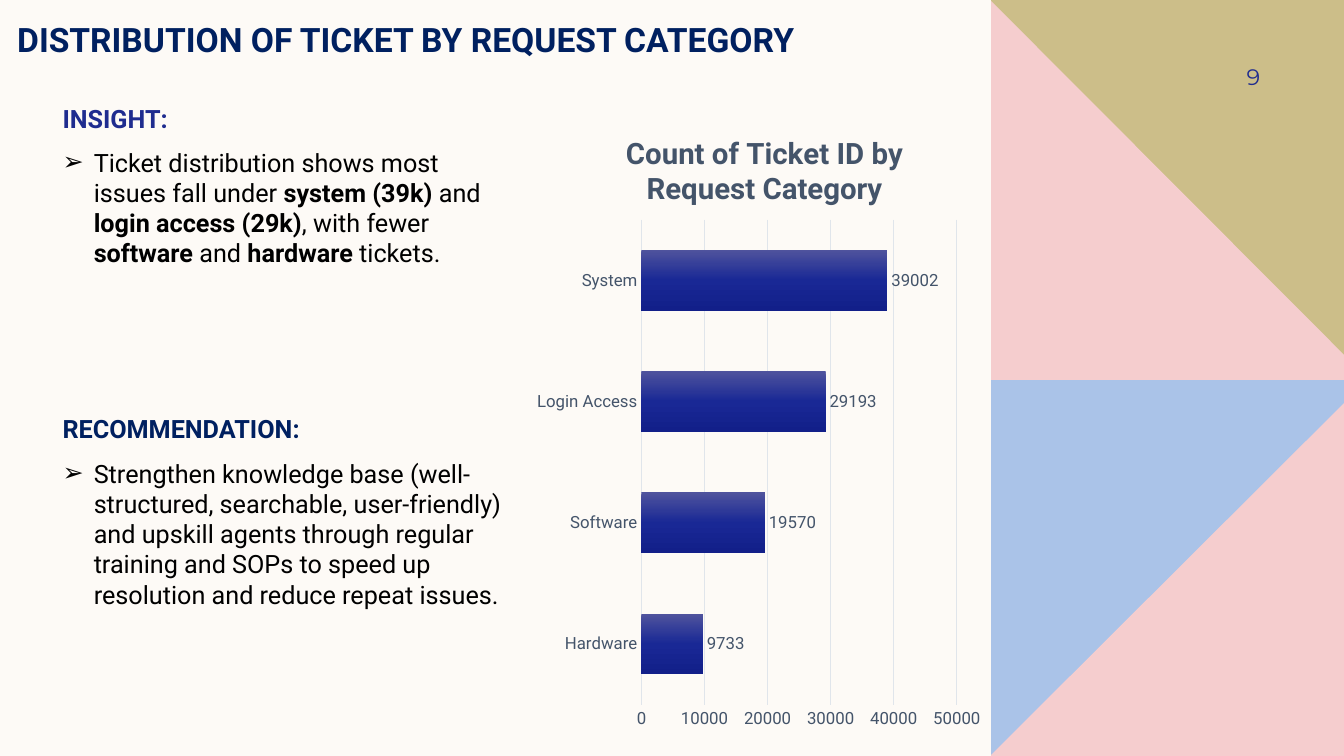
from copy import deepcopy

from lxml.etree import SubElement
from pptx import Presentation
from pptx.chart.data import CategoryChartData
from pptx.dml.color import RGBColor
from pptx.enum.chart import XL_CHART_TYPE as ChartType, XL_LABEL_POSITION as LabelPosition
from pptx.enum.chart import XL_TICK_MARK as TickMark
from pptx.enum.text import MSO_ANCHOR as Anchor, MSO_AUTO_SIZE as AutoSize, PP_ALIGN as Align
from pptx.oxml import parse_xml
from pptx.oxml.ns import nsdecls, qn
from pptx.util import Inches, Pt

NAVY, INDIGO, SLATE, GRID = "002060", "1F2C8F", "44546A", "E0E5EB"
PINK, BLUE, KHAKI = "F5CDCE", "AAC3E8", "CCBE89"
PANEL_LEFT, PANEL_RIGHT, PANEL_BOTTOM = 9.83, 13.33, 7.5
BAR_GRADIENT = ((0, "4F539D"), (0.5, "192895"), (1, "121F89"))
TICKETS = {"Hardware": 9733, "Software": 19570, "Login Access": 29193, "System": 39002}
INSIGHT = ("Ticket distribution shows most issues fall under **system (39k)** and "
           "**login access (29k)**, with fewer **software** and **hardware** tickets.")
RECOMMENDATION = ("Strengthen knowledge base (well-structured, searchable, user‑friendly) and upskill "
                  "agents through regular training and SOPs to speed up resolution and reduce repeat issues.")


def rgb(hex_color):
    """Return the colour for a hex string."""
    return RGBColor.from_string(hex_color)


def style_font(font, size, color, bold=False, name="Roboto"):
    """Set typeface, size, colour and weight of a font."""
    font.name, font.size, font.bold = name, Pt(size), bold
    font.color.rgb = rgb(color)


def place(shape, left, top, width, height):
    """Move and size a shape, in inches."""
    shape.left, shape.top = Inches(left), Inches(top)
    shape.width, shape.height = Inches(width), Inches(height)


def add_polygon(slide, points, color):
    """Draw a filled outline through points given in inches."""
    corners = [(Inches(x), Inches(y)) for x, y in points]
    builder = slide.shapes.build_freeform(*corners[0], scale=1.0)
    builder.add_line_segments(corners[1:], close=True)
    polygon = builder.convert_to_shape()
    polygon.shadow.inherit = False
    polygon.fill.solid()
    polygon.fill.fore_color.rgb = rgb(color)
    polygon.line.fill.background()


def add_panel(slide):
    """Draw the coloured triangles of the right-hand panel."""
    left, right, bottom = PANEL_LEFT, PANEL_RIGHT, PANEL_BOTTOM
    add_polygon(slide, [(left, 3.75), (right, 3.75), (right, bottom), (left, bottom)], BLUE)
    add_polygon(slide, [(right, 4), (right, bottom), (left, bottom), (left, 7.49)], PINK)
    add_polygon(slide, [(left, 0), (right, 0), (right, 3.76), (left, 3.76)], KHAKI)
    add_polygon(slide, [(left, 0.01), (right, 3.52), (right, 3.77), (left, 3.77)], PINK)


def add_title(slide):
    """Fill the title placeholder."""
    title = slide.shapes.title
    place(title, 0.07, 0.14, 9.75, 0.5)
    frame = title.text_frame
    frame.text = "DISTRIBUTION OF TICKET BY REQUEST CATEGORY"
    frame.auto_size, frame.vertical_anchor = AutoSize.NONE, Anchor.TOP
    frame.paragraphs[0].alignment = Align.LEFT
    style_font(frame.paragraphs[0].runs[0].font, 24, NAVY, True)


def set_bullet(paragraph, mark, indent):
    """Give a paragraph a hanging bullet, or none when mark is empty."""
    properties = paragraph._p.get_or_add_pPr()
    properties.set("marL", str(Inches(indent)))
    properties.set("indent", str(-Inches(indent)))
    if mark:
        SubElement(properties, qn("a:buChar")).set("char", mark)
    else:
        SubElement(properties, qn("a:buNone"))


def add_section(frame, heading, color, finding, space_before):
    """Add a heading and its bulleted finding, bold between double asterisks."""
    head = frame.paragraphs[0] if not frame.text else frame.add_paragraph()
    head.text = heading
    head.space_before = Pt(space_before)
    set_bullet(head, "", 0)
    style_font(head.runs[0].font, 18, color, True)
    bullet = frame.add_paragraph()
    bullet.space_before = Pt(10)
    set_bullet(bullet, "➢", 0.31)
    for index, words in enumerate(finding.split("**")):
        run = bullet.add_run()
        run.text = words
        style_font(run.font, 18, "000000", index % 2 == 1)


def add_findings(slide):
    """Fill the body placeholder with insight and recommendation."""
    body = slide.placeholders[1]
    place(body, 0.52, 1.02, 4.71, 6.34)
    frame = body.text_frame
    frame.auto_size = AutoSize.NONE
    frame.margin_top = frame.margin_bottom = 0
    add_section(frame, "INSIGHT:", INDIGO, INSIGHT, 10)
    add_section(frame, "RECOMMENDATION:", NAVY, RECOMMENDATION, 104)


def add_page_number(slide, number):
    """Write the page number on the panel."""
    frame = slide.shapes.add_textbox(Inches(11.42), Inches(0.5), Inches(1.08), Inches(0.52)).text_frame
    frame.text = number
    frame.word_wrap, frame.vertical_anchor = True, Anchor.MIDDLE
    frame.margin_right = 0
    frame.paragraphs[0].alignment = Align.RIGHT
    style_font(frame.paragraphs[0].runs[0].font, 16, INDIGO, name="Montserrat")


def set_layout(element, before, target="", **fractions):
    """Fix a chart part at fractions of the chart area."""
    for old in element.findall(qn("c:layout")):
        element.remove(old)
    modes = '<c:xMode val="edge"/><c:yMode val="edge"/>'
    sizes = "".join(f'<c:{key} val="{value}"/>' for key, value in fractions.items())
    layout = parse_xml(f'<c:layout {nsdecls("c")}><c:manualLayout>{target}{modes}{sizes}'
                       "</c:manualLayout></c:layout>")
    element.find(qn(before)).addprevious(layout)


def style_line(line, color):
    """Make a thin chart line."""
    line.width = Pt(0.75)
    line.color.rgb = rgb(color)


def style_bars(series):
    """Fill the bars with the vertical gradient."""
    fill = series.format.fill
    fill.gradient()
    fill.gradient_angle = 270
    stop_list = series._element.find(".//" + qn("a:gsLst"))
    stop_list.append(deepcopy(stop_list[-1]))
    for stop, (position, color) in zip(fill.gradient_stops, BAR_GRADIENT):
        stop.position = position
        stop.color.rgb = rgb(color)


def add_ticket_chart(slide):
    """Add the bar chart of tickets by category."""
    data = CategoryChartData()
    data.categories = list(TICKETS)
    data.add_series("Series 1", list(TICKETS.values()))
    chart = slide.shapes.add_chart(ChartType.BAR_CLUSTERED, Inches(5.24), Inches(1.02),
                                   Inches(4.58), Inches(6.34), data).chart
    style_font(chart.font, 10, "000000")
    chart.has_legend = False
    heading = chart.chart_title.text_frame
    heading.text = "Count of Ticket ID by Request Category"
    style_font(heading.paragraphs[0].runs[0].font, 21, SLATE, True)
    chart.chart_title.include_in_layout = False
    set_layout(chart.chart_title._element, "c:overlay", x=0.2, y=0.04)
    plot = chart.plots[0]
    set_layout(plot._element.getparent(), "c:barChart", '<c:layoutTarget val="inner"/>',
               x=0.245, y=0.183, w=0.683, h=0.759)
    plot.gap_width, plot.vary_by_categories = 100, False
    style_bars(plot.series[0])
    plot.has_data_labels = True
    labels = plot.data_labels
    labels.show_value, labels.position = True, LabelPosition.OUTSIDE_END
    style_font(labels.font, 12, SLATE)
    for axis in (chart.category_axis, chart.value_axis):
        axis.major_tick_mark = axis.minor_tick_mark = TickMark.NONE
        style_font(axis.tick_labels.font, 12, SLATE)
    style_line(chart.category_axis.format.line, GRID)
    counts = chart.value_axis
    counts.minimum_scale, counts.maximum_scale, counts.major_unit = 0, 50000, 10000
    counts.format.line.fill.background()
    style_line(counts.major_gridlines.format.line, GRID)


def main():
    """Build and save the slide."""
    deck = Presentation()
    deck.slide_width, deck.slide_height = Inches(13.33), Inches(7.5)
    slide = deck.slides.add_slide(deck.slide_layouts[1])
    slide.background.fill.solid()
    slide.background.fill.fore_color.rgb = rgb("FDFAF6")
    add_panel(slide)
    add_page_number(slide, "9")
    add_findings(slide)
    add_title(slide)
    add_ticket_chart(slide)
    deck.save("out.pptx")


if __name__ == "__main__":
    main()
